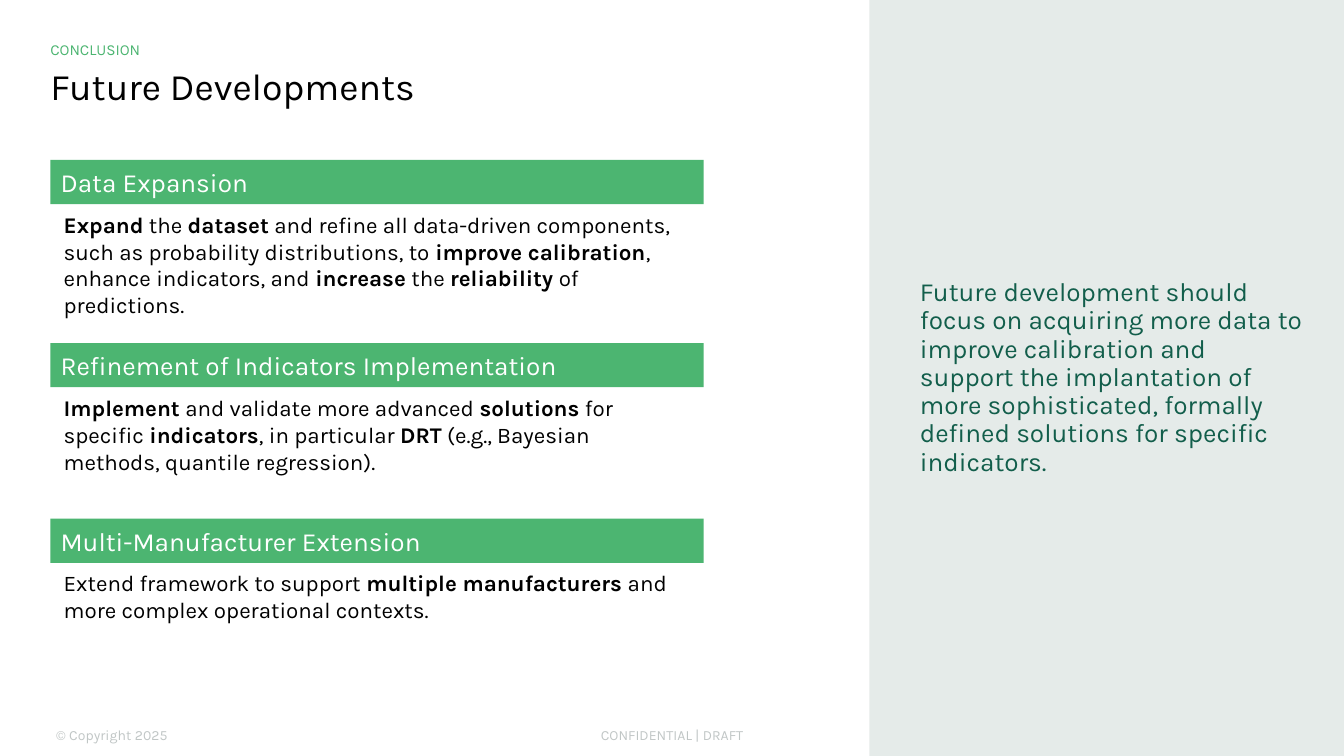
"""Build the Future Developments conclusion slide."""
from lxml import etree
from pptx import Presentation
from pptx.dml.color import RGBColor
from pptx.enum.shapes import MSO_SHAPE
from pptx.enum.text import MSO_ANCHOR, PP_ALIGN
from pptx.oxml.ns import qn
from pptx.util import Pt

RECTANGLE = MSO_SHAPE.RECTANGLE
TOP, MIDDLE = MSO_ANCHOR.TOP, MSO_ANCHOR.MIDDLE
LEFT, CENTER = PP_ALIGN.LEFT, PP_ALIGN.CENTER

FONT = "Karla"
COLORS = {
    "green": "4CB571",
    "dark_green": "125E4B",
    "panel": "E5EBE9",
    "footer": "838E8D",
    "black": "000000",
    "white": "FFFFFF",
}

SECTIONS = [
    ("Data Expansion", 85.7, [
        ("Expand", True), (" the ", False), ("dataset", True),
        (" and refine all data-driven components, such as probability distributions, to ", False),
        ("improve calibration", True), (", enhance indicators, and ", False),
        ("increase", True), (" the ", False), ("reliability", True),
        (" of predictions.", False),
    ]),
    ("Refinement of Indicators Implementation", 183.8, [
        ("Implement", True), (" and validate more advanced ", False),
        ("solutions", True), (" for specific ", False), ("indicators", True),
        (", in particular ", False), ("DRT", True),
        (" (e.g., Bayesian methods, quantile regression).", False),
    ]),
    ("Multi-Manufacturer Extension", 277.9, [
        ("Extend framework to support ", False), ("multiple manufacturers", True),
        (" and more complex operational contexts.", False),
    ]),
]
TAKEAWAY = (
    "Future development should focus on acquiring more data to improve calibration "
    "and support the implantation of more sophisticated, formally defined solutions "
    "for specific indicators."
)
FOOTERS = [
    ("© Copyright 2025", 27.4, 213.8, LEFT),
    ("CONFIDENTIAL | DRAFT", 238.3, 243.4, CENTER),
]

PAGE_WIDTH, PAGE_HEIGHT = 720, 405
MARGIN = 27
SECTION_WIDTH, HEADING_HEIGHT, BODY_HEIGHT = 350, 23.7, 51
PANEL_LEFT = 465.8


def write(box, runs, size, color, insets, anchor=MIDDLE, align=LEFT, spacing=None, alpha=None):
    frame = box.text_frame
    frame.word_wrap = True
    frame.vertical_anchor = anchor
    frame.margin_left, frame.margin_top, frame.margin_right, frame.margin_bottom = map(Pt, insets)
    para = frame.paragraphs[0]
    para.alignment = align
    if spacing:
        para.line_spacing = spacing
    for text, bold in runs:
        span = para.add_run()
        span.text = text
        span.font.name = FONT
        span.font.size = Pt(size)
        span.font.bold = bold
        span.font.color.rgb = RGBColor.from_string(COLORS[color])
        if alpha:
            tint = next(span._r.iter(qn("a:srgbClr")))
            etree.SubElement(tint, qn("a:alpha"), val=str(alpha * 1000))


def add_text(page, area, *style, **options):
    box = page.shapes.add_textbox(*map(Pt, area))
    write(box, *style, **options)


def add_block(page, area, fill, *style, **options):
    block = page.shapes.add_shape(RECTANGLE, *map(Pt, area))
    block.shadow.inherit = False
    block.fill.solid()
    block.fill.fore_color.rgb = RGBColor.from_string(COLORS[fill])
    block.line.fill.background()
    write(block, *style, **options)


def main():
    deck = Presentation()
    deck.slide_width, deck.slide_height = Pt(PAGE_WIDTH), Pt(PAGE_HEIGHT)
    page = deck.slides.add_slide(deck.slide_layouts[6])

    for text, left, width, align in FOOTERS:
        add_text(page, (left, 386, width, 15), [(text, False)], 7.5, "footer",
                 (2.7, 2.7, 2.7, 2.7), align=align, alpha=50)

    add_text(page, (MARGIN, 32.4, 666, 29.5), [("Future Developments", False)], 20, "black",
             (0, 2.7, 0, 2.7), spacing=0.9)
    add_text(page, (MARGIN, 20.2, 666, 12.2), [("CONCLUSION", False)], 8.2, "green", (0, 0, 5.4, 0))

    add_block(page, (PANEL_LEFT, 0, PAGE_WIDTH - PANEL_LEFT, PAGE_HEIGHT), "panel",
              [(TAKEAWAY, False)], 14, "dark_green", (27, 5.4, 21.6, 5.4), spacing=0.9)

    for heading, top, body in SECTIONS:
        add_block(page, (MARGIN, top, SECTION_WIDTH, HEADING_HEIGHT), "green",
                  [(heading, False)], 14, "white", (5.4, 2.7, 5.4, 2.7))
        add_text(page, (MARGIN, top + HEADING_HEIGHT, SECTION_WIDTH, BODY_HEIGHT),
                 body, 12, "black", (7.2, 3.6, 7.2, 3.6), anchor=TOP)

    deck.save("out.pptx")


if __name__ == "__main__":
    main()
